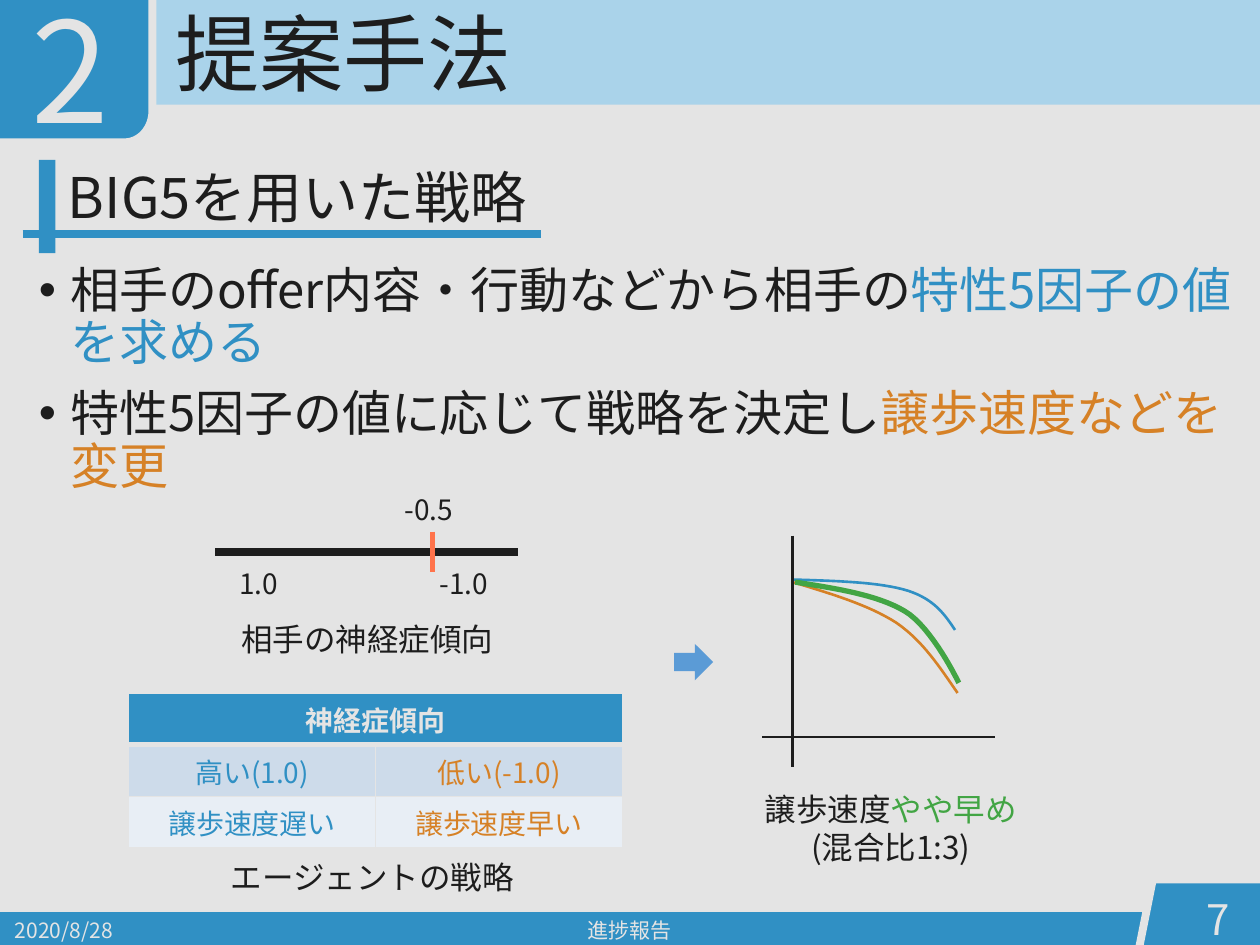
from lxml import etree
from pptx import Presentation
from pptx.dml.color import RGBColor
from pptx.enum.shapes import MSO_CONNECTOR, MSO_SHAPE
from pptx.enum.text import MSO_ANCHOR, PP_ALIGN
from pptx.oxml import parse_xml
from pptx.oxml.ns import qn
from pptx.util import Emu, Inches, Pt

LEFT, CENTER, RIGHT = PP_ALIGN.LEFT, PP_ALIGN.CENTER, PP_ALIGN.RIGHT
TOP, MIDDLE = MSO_ANCHOR.TOP, MSO_ANCHOR.MIDDLE
RECT, ARROW = MSO_SHAPE.RECTANGLE, MSO_SHAPE.RIGHT_ARROW
STRAIGHT = MSO_CONNECTOR.STRAIGHT
NS = "http://schemas.openxmlformats.org/drawingml/2006/main"
FONT = "Noto Sans CJK JP"
INK, PAPER, BLUE, SKY = "1D1D1D", "E4E4E4", "3090C4", "AAD3EA"
ORANGE, GREEN, RED, ARROW_BLUE = "D68126", "42A544", "FF734B", "5B9BD6"
ROW_FILLS = [BLUE, "CDDBEA", "E8EEF5"]
COLUMNS = 100


def rgb(value):
    return RGBColor.from_string(value)


def write(frame, paragraphs, size=18, color=INK, align=LEFT, anchor=TOP,
          bold=False, spacing=1.0, before=0, bullet=False, tab=None):
    frame.word_wrap = True
    frame.vertical_anchor = anchor
    if isinstance(paragraphs, str):
        paragraphs = [[(paragraphs, color)]]
    for index, runs in enumerate(paragraphs):
        line = frame.add_paragraph() if index else frame.paragraphs[0]
        line.alignment = align
        line.line_spacing = spacing
        line.space_before = Pt(before)
        properties = line._p.get_or_add_pPr()
        if bullet:
            properties.set("marL", str(Inches(0.25)))
            properties.set("indent", str(-Inches(0.25)))
            etree.SubElement(properties, qn("a:buFont")).set("typeface", "Arial")
            etree.SubElement(properties, qn("a:buChar")).set("char", "•")
        if tab:
            stops = etree.SubElement(properties, qn("a:tabLst"))
            stop = etree.SubElement(stops, qn("a:tab"))
            stop.set("pos", str(tab))
            stop.set("algn", "l")
        for words, tint in runs:
            run = line.add_run()
            run.text = words
            run.font.size = Pt(size)
            run.font.bold = bold
            run.font.color.rgb = rgb(tint)
            run.font.name = FONT
            etree.SubElement(run._r.get_or_add_rPr(), qn("a:ea")).set("typeface", FONT)


class Board:
    def __init__(self):
        self.deck = Presentation()
        self.deck.slide_width, self.deck.slide_height = Inches(10), Inches(7.5)
        self.unit = self.deck.slide_width / COLUMNS
        self.slide = self.deck.slides.add_slide(self.deck.slide_layouts[5])
        self.shapes = self.slide.shapes
        self.slide.background.fill.solid()
        self.slide.background.fill.fore_color.rgb = rgb(PAPER)

    def grid(self, *values):
        return [Emu(round(value * self.unit)) for value in values]

    def paint(self, shape, fill=None, line=None, weight=0):
        shape.shadow.inherit = False
        if fill:
            shape.fill.solid()
            shape.fill.fore_color.rgb = rgb(fill)
        else:
            shape.fill.background()
        if line:
            shape.line.color.rgb = rgb(line)
            shape.line.width = Pt(weight)
        else:
            shape.line.fill.background()

    def block(self, kind, box, fill):
        self.paint(self.shapes.add_shape(kind, *self.grid(*box)), fill)

    def title(self, words, box, **style):
        heading = self.shapes.title
        heading.left, heading.top, heading.width, heading.height = self.grid(*box)
        write(heading.text_frame, words, **style)
        self.shapes._spTree.append(heading._element)

    def text(self, words, box, inset=1, **style):
        frame = self.shapes.add_textbox(*self.grid(*box)).text_frame
        frame.margin_left = self.grid(inset)[0]
        write(frame, words, **style)

    def line(self, start, end, color, weight):
        rule = self.shapes.add_connector(STRAIGHT, *self.grid(*start, *end))
        rule.line.color.rgb = rgb(color)
        rule.line.width = Pt(weight)
        etree.SubElement(rule._element.spPr, qn("a:effectLst"))

    def outline(self, start, segments, close=False, **style):
        points = [start]
        for segment in segments:
            if len(segment) == 1:
                points += segment
                continue
            knots = [points[-1], *segment]
            for step in range(1, 17):
                t = step / 16
                weights = [(1 - t) ** 3, 3 * t * (1 - t) ** 2, 3 * t * t * (1 - t), t ** 3]
                points.append(tuple(sum(w * knot[axis] for w, knot in zip(weights, knots))
                                    for axis in (0, 1)))
        points = [self.grid(*point) for point in points]
        builder = self.shapes.build_freeform(*points[0])
        builder.add_line_segments(points[1:], close=close)
        self.paint(builder.convert_to_shape(), **style)

    def table(self, rows, box):
        table = self.shapes.add_table(len(rows), len(rows[-1]), *self.grid(*box)).table
        table.cell(0, 0).merge(table.cell(0, 1))
        for r, row in enumerate(rows):
            for c in range(len(rows[-1])):
                cell = table.cell(r, c)
                cell.fill.solid()
                cell.fill.fore_color.rgb = rgb(ROW_FILLS[r])
                for index, side in enumerate("LRTB"):
                    heavy = (r, side) in ((0, "B"), (1, "T"))
                    cell._tc.get_or_add_tcPr().insert(index, parse_xml(
                        f'<a:ln{side} xmlns:a="{NS}" w="{Pt(3 if heavy else 1)}"><a:solidFill>'
                        f'<a:srgbClr val="{PAPER}"/></a:solidFill></a:ln{side}>'))
                if c < len(row):
                    words, color = row[c]
                    write(cell.text_frame, words, size=16, color=color,
                          align=CENTER, bold=r == 0)


board = Board()
board.block(RECT, (-0.1, -0.1, 100.4, 8.4), SKY)
board.block(RECT, (-0.1, 72.4, 100.4, 2.7), BLUE)
edge = dict(close=True, fill=BLUE, line=PAPER, weight=4.5)
board.outline((101, 69.8), [[(91.5, 69.8)], [(90.3, 75.8)], [(101, 75.8)]], **edge)
board.outline((-0.7, -1.4), [[(12.1, -1.4)], [(12.1, 8.8)],
                             [(12.1, 10.2), (11.1, 11.3), (9.9, 11.3)],
                             [(-0.7, 11.3)]], **edge)
board.title("提案手法", (12.9, -1.4, 89.7, 12), size=48, anchor=MIDDLE, spacing=0.9)

footer = dict(color=PAPER, anchor=MIDDLE)
board.text("2020/8/28", (0.2, 71.8, 22.5, 4), size=12, **footer)
board.text("進捗報告", (33.1, 71.8, 33.8, 4), size=12, align=CENTER, **footer)
board.text("7", (92.1, 70.9, 6.5, 4), size=24, align=RIGHT, **footer)
prose = dict(spacing=0.9, before=10)
board.text("2", (-4.7, -0.3, 20.6, 10.6), size=80, color=PAPER, align=CENTER, **prose)

board.line((1.8, 18.6), (42.9, 18.6), BLUE, 4.5)
board.block(RECT, (3.1, 12.7, 1.3, 7.4), BLUE)
board.text("BIG5を用いた戦略", (4.4, 13, 89.1, 7.4), size=32, **prose)
board.text([[("相手のoffer内容・行動などから相手の", INK), ("特性5因子の値を求める", BLUE)],
            [("特性5因子の値に応じて戦略を決定し", INK), ("譲歩速度などを変更", ORANGE)]],
           (2.1, 20.6, 96.9, 51.3), size=28, bullet=True, **prose)

board.table([[("神経症傾向", PAPER)],
             [("高い(1.0)", BLUE), ("低い(-1.0)", ORANGE)],
             [("譲歩速度遅い", BLUE), ("譲歩速度早い", ORANGE)]], (10.2, 55, 39.2, 12.3))
board.text("エージェントの戦略", (16, 67.6, 27.1, 4), align=CENTER)

board.line((17.1, 43.8), (41.1, 43.8), INK, 4.5)
board.text("1.0\t-1.0", (13, 44.5, 31.7, 3.7), inset=6, size=16, tab=Inches(1.59))
board.text("-0.5", (29.3, 38.6, 9.5, 4.5), size=16, align=CENTER)
board.line((34.3, 42.2), (34.3, 45.4), RED, 3)
board.text("相手の神経症傾向", (16.8, 48.7, 24.7, 4), align=CENTER)

board.block(ARROW, (53.5, 51.1, 3.1, 2.9), ARROW_BLUE)
board.text([[("譲歩速度", INK), ("やや早め", GREEN)], [("(混合比1:3)", INK)]],
           (59.4, 62.2, 22.6, 7.1), align=CENTER)
concessions = [
    (BLUE, 1.5, (62.8, 46), [[(66.3, 46.1), (69.9, 46.2), (72.1, 46.9)],
                             [(74.2, 47.6), (75, 48.8), (75.8, 50)]]),
    (ORANGE, 1.5, (62.9, 46.2), [[(65.9, 47.1), (68.9, 48), (71.1, 49.4)],
                                 [(73.3, 50.9), (74.6, 53), (76, 55)]]),
    (GREEN, 3, (63.1, 46.2), [[(66.3, 46.7), (69.6, 47.2), (71.8, 48.5)],
                              [(74, 49.8), (76.1, 54.2), (76.1, 54.2)]]),
]
for color, weight, start, segments in concessions:
    board.outline(start, segments, line=color, weight=weight)
board.line((60.5, 58.5), (79, 58.5), INK, 1.5)
board.line((62.9, 42.5), (62.9, 60.9), INK, 1.5)
board.deck.save("out.pptx")
